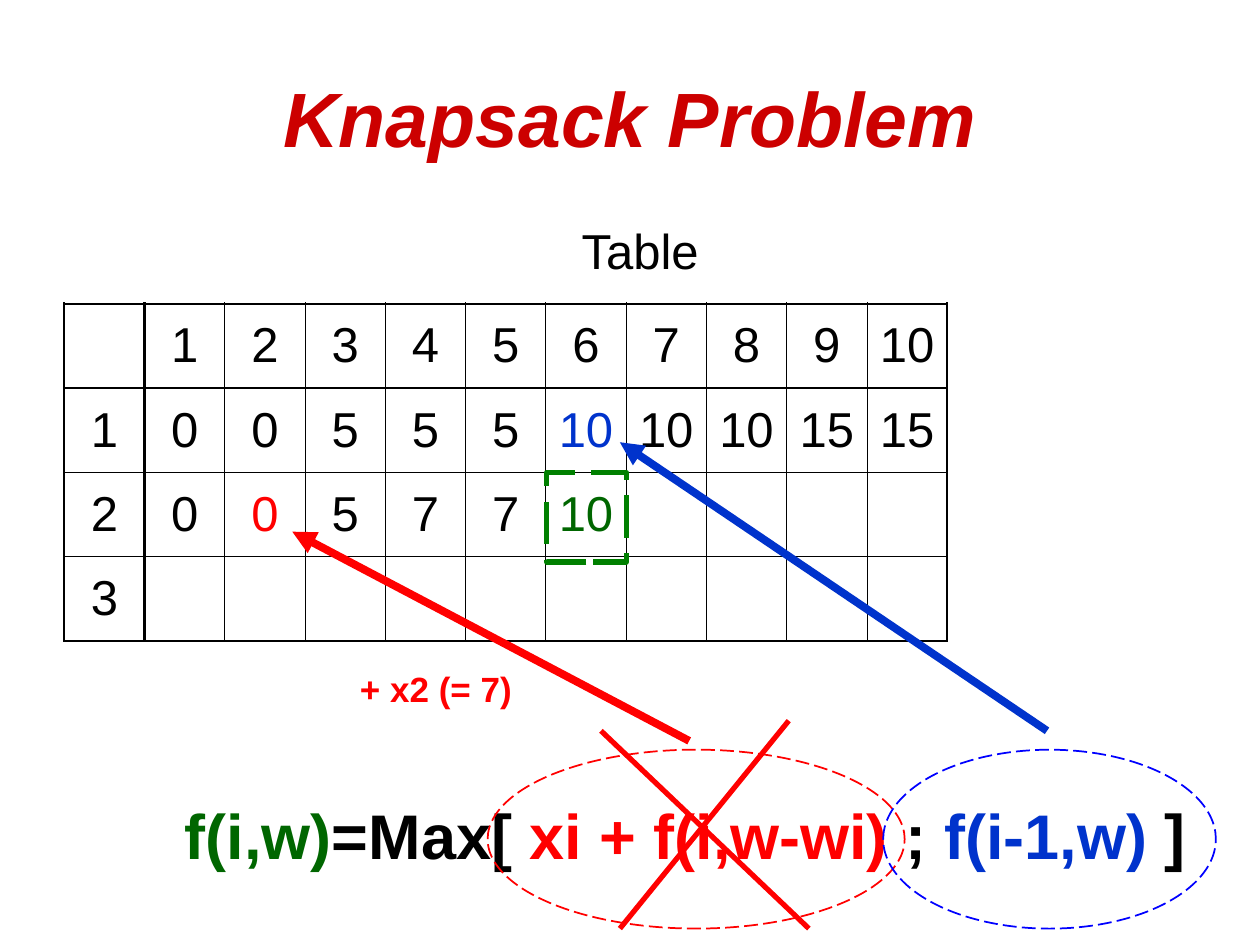
"""Build the knapsack problem slide with its table and recurrence."""
import typing
from dataclasses import dataclass

import lxml.etree
import pptx
import pptx.dml.color
import pptx.enum.dml
import pptx.enum.shapes
import pptx.enum.text
import pptx.oxml.ns
import pptx.util

Inches = pptx.util.Inches
Pt = pptx.util.Pt
RGBColor = pptx.dml.color.RGBColor
MSO_SHAPE = pptx.enum.shapes.MSO_SHAPE
MSO_ANCHOR = pptx.enum.text.MSO_ANCHOR
qn = pptx.oxml.ns.qn

BLACK = RGBColor(0x00, 0x00, 0x00)
TITLE_RED = RGBColor(0xCC, 0x00, 0x00)
RED = RGBColor(0xFF, 0x00, 0x00)
BLUE = RGBColor(0x00, 0x33, 0xCC)
OUTLINE_BLUE = RGBColor(0x00, 0x00, 0xFF)
GREEN = RGBColor(0x00, 0x66, 0x00)
OUTLINE_GREEN = RGBColor(0x00, 0x80, 0x00)

THICK, THIN = Pt(1.47), Pt(0.45)
Box = tuple[float, float, float, float]
Point = tuple[float, float]
Run = tuple[str, RGBColor]


@dataclass(frozen=True)
class Label:
    box: Box
    runs: tuple[Run, ...]
    size: float
    before: float = 0
    bold: bool = True
    italic: bool = False
    anchor: MSO_ANCHOR = MSO_ANCHOR.TOP


@dataclass(frozen=True)
class Outline:
    kind: MSO_SHAPE
    box: Box
    color: RGBColor
    width: float


@dataclass(frozen=True)
class Line:
    start: Point
    end: Point
    color: RGBColor
    width: float
    arrow: bool = False


LABELS = (
    Label((0.5, 0.3, 9, 1.25), (("Knapsack Problem", TITLE_RED),), 44,
          italic=True, anchor=MSO_ANCHOR.MIDDLE),
    Label((2.87, 1.7, 4.42, 0.66), (("Table", BLACK),), 28, 3.5, bold=False),
    Label((2.24, 5.25, 2.44, 0.66), (("+ x2 (= 7)", RED),), 20, 2.5),
    Label((1.06, 6.27, 8.76, 0.98),
          (("f(i,w)", GREEN), ("=Max[ ", BLACK), ("xi + f(i,w-wi)", RED),
           (" ; ", BLACK), ("f(i-1,w)", BLUE), (" ]", BLACK)), 36, 4.5),
)
OUTLINES = (
    Outline(MSO_SHAPE.RECTANGLE, (4.34, 3.75, 0.63, 0.71), OUTLINE_GREEN, 3),
    Outline(MSO_SHAPE.OVAL, (3.87, 5.95, 3.31, 1.42), RED, 1),
    Outline(MSO_SHAPE.OVAL, (7.01, 5.95, 2.64, 1.42), OUTLINE_BLUE, 1),
)
LINES = (
    Line((5.47, 5.88), (2.32, 4.22), RED, 4.5, arrow=True),
    Line((8.31, 5.8), (4.92, 3.51), BLUE, 4.5, arrow=True),
    Line((4.77, 5.8), (6.42, 7.37), RED, 3),
    Line((6.26, 5.72), (4.92, 7.37), RED, 3),
)
TABLE_BOX = (0.51, 2.41, 7.01, 2.68)
TABLE_ROWS = (
    ("", *range(1, 11)),
    (1, 0, 0, 5, 5, 5, 10, 10, 10, 15, 15),
    (2, 0, 0, 5, 7, 7, 10, "", "", "", ""),
    (3, *[""] * 10),
)
CELL_COLORS = {(1, 6): BLUE, (2, 2): RED, (2, 6): GREEN}


def apply_format(target: typing.Any, values: dict[str, typing.Any]) -> None:
    for name, value in values.items():
        setattr(target, name, value)


def write_runs(frame: typing.Any, runs: tuple[Run, ...], size: float, before: float,
               bold: bool = False, italic: bool = False) -> None:
    paragraph = frame.paragraphs[0]
    apply_format(paragraph, {"alignment": pptx.enum.text.PP_ALIGN.CENTER,
                             "space_before": Pt(before)})
    for text, color in runs:
        run = paragraph.add_run()
        run.text = text
        apply_format(run.font, {"name": "Arial", "size": Pt(size), "bold": bold, "italic": italic})
        run.font.color.rgb = color


def add_label(slide: typing.Any, label: Label) -> None:
    frame = slide.shapes.add_textbox(*map(Inches, label.box)).text_frame
    apply_format(frame, {"word_wrap": True, "vertical_anchor": label.anchor})
    write_runs(frame, label.runs, label.size, label.before, label.bold, label.italic)


def add_border(cell: typing.Any, side: str, width: int) -> None:
    properties = cell._tc.get_or_add_tcPr()
    border = lxml.etree.SubElement(properties, qn(f"a:ln{side}"), w=str(int(width)))
    fill = lxml.etree.SubElement(border, qn("a:solidFill"))
    lxml.etree.SubElement(fill, qn("a:srgbClr"), val=str(BLACK))


def add_value_table(slide: typing.Any) -> None:
    row_count, column_count = len(TABLE_ROWS), len(TABLE_ROWS[0])
    left, top, width, height = map(Inches, TABLE_BOX)
    table = slide.shapes.add_table(row_count, column_count, left, top, width, height).table
    apply_format(table, {"first_row": False, "horz_banding": False})
    thick_columns, thick_rows = {0, 1, column_count}, {0, 1, row_count}
    for row, values in enumerate(TABLE_ROWS):
        for column, value in enumerate(values):
            cell = table.cell(row, column)
            cell.vertical_anchor = MSO_ANCHOR.MIDDLE
            for side, is_thick in (("L", column in thick_columns), ("R", column + 1 in thick_columns),
                                   ("T", row in thick_rows), ("B", row + 1 in thick_rows)):
                add_border(cell, side, THICK if is_thick else THIN)
            cell.fill.background()
            if value != "":
                color = CELL_COLORS.get((row, column), BLACK)
                write_runs(cell.text_frame, ((str(value), color),), 28, 3.5)


def add_outline(slide: typing.Any, outline: Outline) -> None:
    shape = slide.shapes.add_shape(outline.kind, *map(Inches, outline.box))
    shape.shadow.inherit = False
    shape.fill.background()
    shape.line.color.rgb = outline.color
    apply_format(shape.line, {"width": Pt(outline.width),
                              "dash_style": pptx.enum.dml.MSO_LINE.LONG_DASH})


def add_line(slide: typing.Any, line: Line) -> None:
    connector = slide.shapes.add_connector(pptx.enum.shapes.MSO_CONNECTOR.STRAIGHT,
                                           *map(Inches, line.start + line.end))
    connector.line.color.rgb = line.color
    connector.line.width = Pt(line.width)
    if line.arrow:
        lxml.etree.SubElement(connector.line._get_or_add_ln(), qn("a:tailEnd"), type="triangle")
    lxml.etree.SubElement(connector._element.spPr, qn("a:effectLst"))


def main() -> None:
    presentation = pptx.Presentation()
    apply_format(presentation, {"slide_width": Inches(10), "slide_height": Inches(7.5)})
    slide = presentation.slides.add_slide(presentation.slide_layouts[6])
    for label in LABELS:
        add_label(slide, label)
    add_value_table(slide)
    for outline in OUTLINES:
        add_outline(slide, outline)
    for line in LINES:
        add_line(slide, line)
    presentation.save("out.pptx")


if __name__ == "__main__":
    main()
